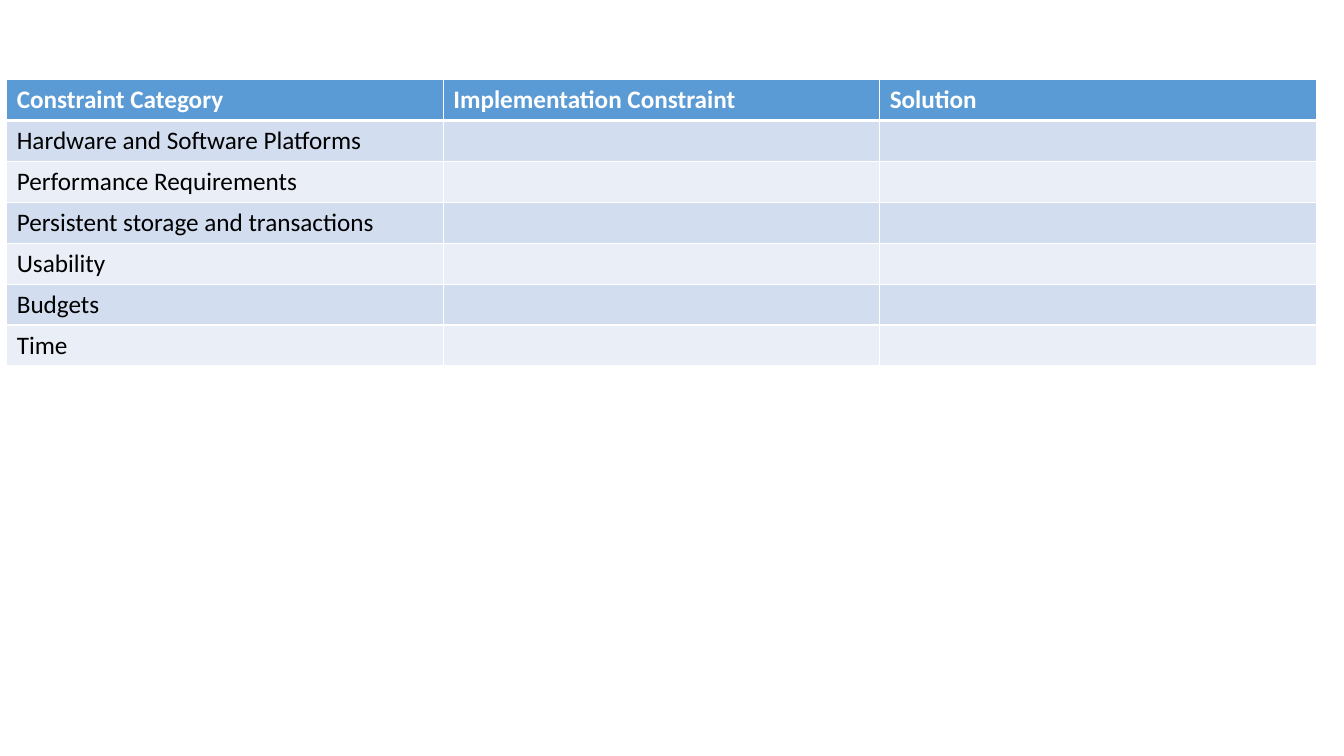
import pptx
import pptx.util
import pptx.dml.color
import pptx.oxml.ns
from lxml import etree

Cm = pptx.util.Cm
Pt = pptx.util.Pt
RGBColor = pptx.dml.color.RGBColor
qn = pptx.oxml.ns.qn

HEADERS = ["Constraint Category", "Implementation Constraint", "Solution"]
CATEGORIES = [
    "Hardware and Software Platforms",
    "Performance Requirements",
    "Persistent storage and transactions",
    "Usability",
    "Budgets",
    "Time",
]

WHITE = RGBColor(0xFF, 0xFF, 0xFF)
BLACK = RGBColor(0x00, 0x00, 0x00)
BLUE = RGBColor(0x5B, 0x9B, 0xD5)
BANDS = [RGBColor(0xD2, 0xDE, 0xEF), RGBColor(0xEA, 0xEF, 0xF7)]

LEFT, TOP = Cm(0.17), Cm(2.01)
COL_WIDTH, ROW_HEIGHT = Cm(11), Cm(1.03)


def write(tf, text, size=18, color=BLACK, bold=False, font="Calibri"):
    p = tf.paragraphs[0]
    p.font.size = Pt(size)
    if text:
        r = p.add_run()
        r.text = text
        r.font.name = font
        r.font.size = Pt(size)
        r.font.bold = bold
        r.font.color.rgb = color


def set_borders(cell, **widths):
    tc_pr = cell._tc.get_or_add_tcPr()
    for side in "LRTB":
        ln = etree.SubElement(tc_pr, qn(f"a:ln{side}"), w=str(Pt(widths.get(side, 1))))
        fill = etree.SubElement(ln, qn("a:solidFill"))
        etree.SubElement(fill, qn("a:srgbClr"), val=str(WHITE))


def main():
    prs = pptx.Presentation()
    prs.slide_width, prs.slide_height = Cm(33.87), Cm(19.05)
    s = prs.slides.add_slide(prs.slide_layouts[6])

    rows = [HEADERS] + [[category, "", ""] for category in CATEGORIES]
    n_rows, n_cols = len(rows), len(HEADERS)
    table = s.shapes.add_table(
        n_rows, n_cols, LEFT, TOP, COL_WIDTH * n_cols, ROW_HEIGHT * n_rows
    ).table
    for col in table.columns:
        col.width = COL_WIDTH

    for i, texts in enumerate(rows):
        table.rows[i].height = ROW_HEIGHT
        header = i == 0
        for j, text in enumerate(texts):
            cell = table.cell(i, j)
            set_borders(cell, B=3 if header else 1, T=3 if i == 1 else 1)
            cell.fill.solid()
            cell.fill.fore_color.rgb = BLUE if header else BANDS[(i - 1) % 2]
            write(cell.text_frame, text, color=WHITE if header else BLACK, bold=header)

    prs.save("out.pptx")


if __name__ == "__main__":
    main()
